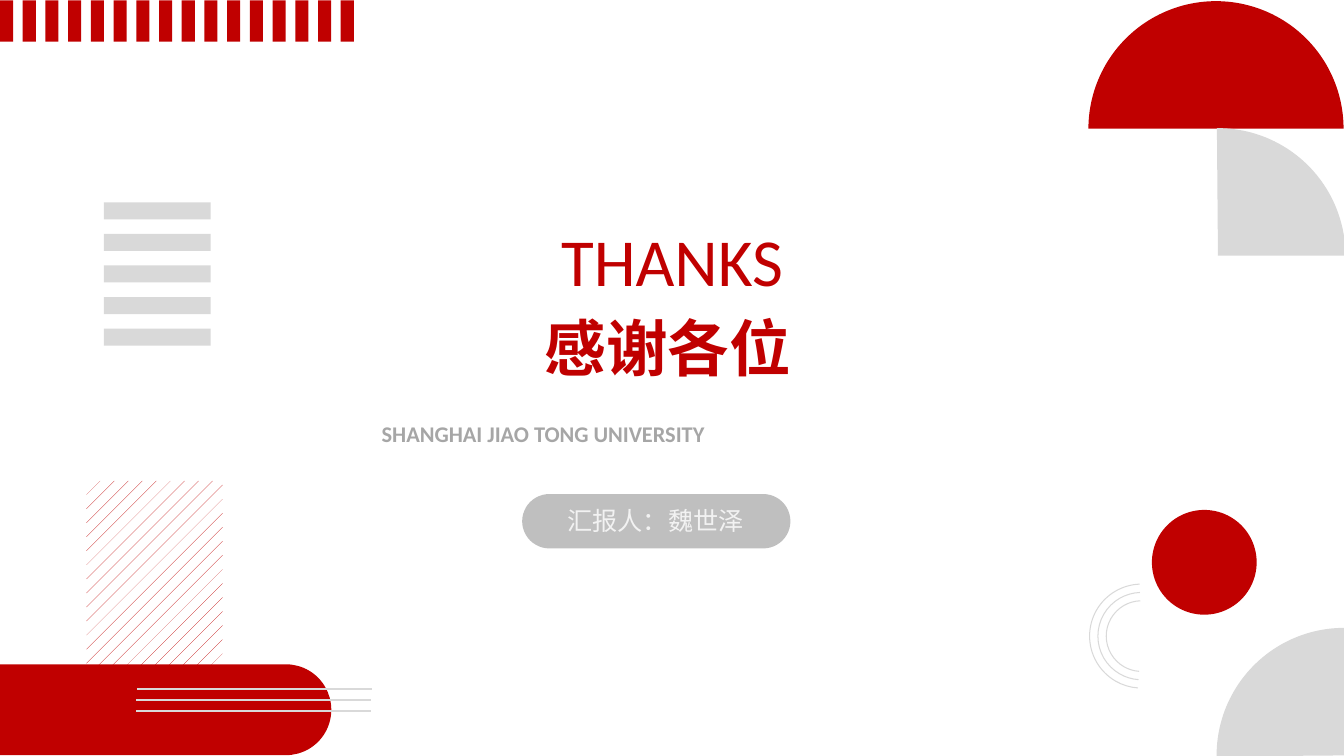
"""Builds a closing thank-you slide with red and grey geometric decoration."""
from lxml import etree
from pptx import Presentation
from pptx.dml.color import RGBColor
from pptx.enum.dml import MSO_PATTERN
from pptx.enum.shapes import MSO_CONNECTOR, MSO_SHAPE
from pptx.enum.text import MSO_ANCHOR, PP_ALIGN
from pptx.oxml.ns import qn
from pptx.util import Cm, Pt

RECT, ROUND, OVAL = MSO_SHAPE.RECTANGLE, MSO_SHAPE.ROUNDED_RECTANGLE, MSO_SHAPE.OVAL
PIE, ARC = MSO_SHAPE.PIE, MSO_SHAPE.ARC
STRAIGHT = MSO_CONNECTOR.STRAIGHT
DOTS = MSO_PATTERN.PERCENT_5
LEFT, CENTER, JUSTIFY = PP_ALIGN.LEFT, PP_ALIGN.CENTER, PP_ALIGN.JUSTIFY
TOP = MSO_ANCHOR.TOP
LATIN, CJK = "Calibri", "Noto Sans CJK SC"
COLORS = {name: RGBColor.from_string(value) for name, value in {
    "red": "C00000", "light": "D9D9D9", "pill": "BFBFBF",
    "motto": "A6A6A6", "pale": "F2F2F2", "white": "FFFFFF"}.items()}


def add_figure(kind, box, color, adjustments=(), rotation=0):
    figure = slide.shapes.add_shape(kind, *map(Cm, box))
    figure.shadow.inherit = False
    figure.rotation = rotation
    for index, value in enumerate(adjustments):
        figure.adjustments[index] = value
    if kind == ARC:
        figure.fill.background()
        figure.line.color.rgb = COLORS[color]
        figure.line.width = Pt(0.75)
    else:
        figure.fill.solid()
        figure.fill.fore_color.rgb = COLORS[color]
        figure.line.fill.background()
    return figure


def write_text(holder, box, text, align, wrap, color, font_format):
    holder.left, holder.top, holder.width, holder.height = map(Cm, box)
    frame = holder.text_frame
    frame.word_wrap = wrap
    frame.vertical_anchor = TOP
    paragraph = frame.paragraphs[0]
    paragraph.alignment = align
    run = paragraph.add_run()
    run.text = text
    for name, value in font_format.items():
        setattr(run.font, name, value)
    run.font.color.rgb = COLORS[color]
    east_asian = etree.SubElement(run.font._element, qn("a:ea"))
    east_asian.set("typeface", CJK)


deck = Presentation()
deck.slide_width, deck.slide_height = Cm(33.87), Cm(19.05)
slide = deck.slides.add_slide(deck.slide_layouts[5])

hatch = add_figure(RECT, (2.18, 12.12, 3.43, 5.11), "white")
hatch.fill.patterned()
hatch.fill.pattern = DOTS
hatch.fill.fore_color.rgb = COLORS["red"]
hatch.fill.back_color.rgb = COLORS["white"]

for stripe in range(16):
    add_figure(RECT, (stripe * 0.5725, 0.01, 0.33, 1.04), "red")
for bar in range(5):
    add_figure(RECT, (2.62, 5.1 + bar * 0.795, 2.69, 0.43), "light")

add_figure(ROUND, (-1.07, 16.74, 9.42, 2.29), "red", [0.5])
add_figure(PIE, (27.43, 0.03, 6.43, 6.43), "red", [108, 215.98])
add_figure(PIE, (27.48, 3.23, 6.43, 6.43), "light", [161.72, 215.98])
add_figure(PIE, (30.66, 15.82, 6.43, 6.43), "light", [161.72, 215.98], 270)
add_figure(ROUND, (13.16, 12.45, 6.76, 1.37), "pill", [0.5])
add_figure(OVAL, (29.03, 12.85, 2.64, 2.64), "red")
for size in (2.62, 2.2, 1.78):
    add_figure(ARC, (28.77 - size / 2, 16.03 - size / 2, size, size), "light",
               [56.41, 160.74])

for start, height in ((3.45, 17.37), (3.43, 17.64), (3.43, 17.91)):
    rule = slide.shapes.add_connector(
        STRAIGHT, Cm(start), Cm(height), Cm(start + 5.92), Cm(height))
    rule.line.color.rgb = COLORS["light"]
    rule.line.width = Pt(1.5)
    etree.SubElement(rule._element.spPr, qn("a:effectLst"))

write_text(slide.shapes.title, (8.03, 7.67, 17.6, 2.13), "感谢各位", CENTER, True,
           "red", {"size": Pt(44), "name": CJK, "bold": True})
for box, text, align, wrap, color, font_format in (
        ((14.05, 12.62, 5, 1.02), "汇报人：魏世泽", LEFT, True, "pale",
         {"size": Pt(18), "name": LATIN}),
        ((13.89, 5.41, 7.44, 2.31), "THANKS", LEFT, False, "red",
         {"size": Pt(48), "name": LATIN}),
        ((9.37, 10.46, 17.02, 0.94), "SHANGHAI JIAO TONG UNIVERSITY", JUSTIFY, True,
         "motto", {"size": Pt(16), "name": LATIN, "bold": True})):
    caption = slide.shapes.add_textbox(*map(Cm, box))
    write_text(caption, box, text, align, wrap, color, font_format)

deck.save("out.pptx")
